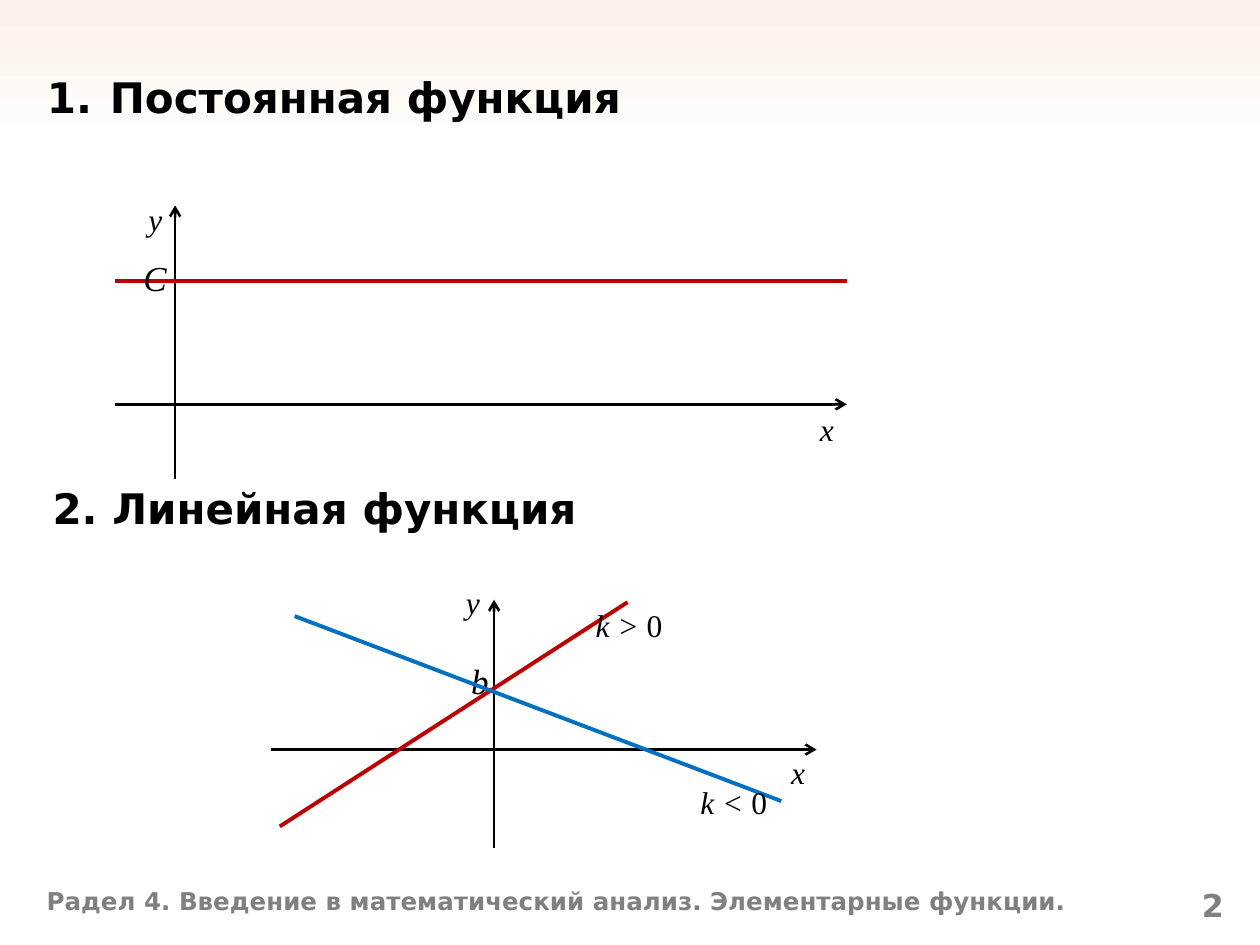
from lxml import etree
from pptx import Presentation
from pptx import util as u
from pptx.dml.color import RGBColor
from pptx.enum import shapes, text
from pptx.oxml import ns

Cm, Pt = u.Cm, u.Pt
COLORS = {
    "top": "FCF1E8",
    "page": "FFFFFF",
    "ink": "000000",
    "muted": "808080",
    "red": "C00000",
    "blue": "0070C0",
}
HEADING = {"name": "DejaVu Sans", "size": Pt(24), "bold": True, "italic": False}
FOOTER = {**HEADING, "size": Pt(14)}
NUMBER = {**HEADING, "size": Pt(18)}
SYMBOL = {"name": "Times New Roman", "size": Pt(18), "bold": False, "italic": True}
POINT = {**SYMBOL, "size": Pt(20)}
DIGIT = {**SYMBOL, "italic": False}


def rgb(name):
    return RGBColor.from_string(COLORS[name])


def add_run(p, words, style, color="ink"):
    r = p.add_run()
    r.text = words
    for key, value in style.items():
        setattr(r.font, key, value)
    r.font.color.rgb = rgb(color)


def set_background(s):
    fill = s.background.fill
    fill.gradient()
    fill.gradient_angle = 270
    for stop, (position, color) in zip(fill.gradient_stops, [(0, "top"), (0.16, "page")]):
        stop.position = position
        stop.color.rgb = rgb(color)


def set_title(s, words):
    sp = s.shapes.title
    sp.left, sp.top, sp.width, sp.height = Cm(0.69), Cm(0.74), Cm(24), Cm(2.41)
    tf = sp.text_frame
    tf.auto_size = text.MSO_AUTO_SIZE.NONE
    tf.vertical_anchor = text.MSO_ANCHOR.MIDDLE
    p = tf.paragraphs[0]
    p.alignment = text.PP_ALIGN.LEFT
    pPr = p._p.get_or_add_pPr()
    pPr.set("marL", str(Cm(1.27)))
    pPr.set("indent", str(-Cm(1.27)))
    etree.SubElement(pPr, ns.qn("a:buFont"), typeface="+mj-lt")
    etree.SubElement(pPr, ns.qn("a:buAutoNum"), type="arabicPeriod")
    add_run(p, words, HEADING)


def add_text(parent, box, runs, color="ink", wrap=True, align=text.PP_ALIGN.LEFT):
    sp = parent.shapes.add_textbox(*map(Cm, box))
    tf = sp.text_frame
    tf.word_wrap = wrap
    p = tf.paragraphs[0]
    p.alignment = align
    for words, style in runs:
        add_run(p, words, style, color)


def add_label(parent, left, top, words, style=SYMBOL, width=0.79, height=1.02):
    add_text(parent, (left, top, width, height), [(words, style)], wrap=False)


def add_slope_label(parent, left, top, sign):
    runs = [(f"k {sign} ", SYMBOL), ("0", DIGIT)]
    add_text(parent, (left, top, 1.88, 1.02), runs, wrap=False)


def add_line(parent, start, end, color="ink", width=2.25):
    line = parent.shapes.add_connector(
        shapes.MSO_CONNECTOR.STRAIGHT, *map(Cm, (*start, *end)))
    line.line.color.rgb = rgb(color)
    line.line.width = Pt(width)
    etree.SubElement(line._element.spPr, ns.qn("a:effectLst"))
    return line


def add_axis(parent, start, end):
    axis = add_line(parent, start, end, width=1.5)
    etree.SubElement(axis.line._get_or_add_ln(), ns.qn("a:tailEnd"), type="arrow")


def add_constant_graph(s):
    left, right = 2.31, 17.07
    group = s.shapes.add_group_shape()
    add_axis(group, (left, 8.15), (right, 8.15))
    add_axis(group, (3.53, 9.65), (3.53, 4.14))
    add_line(group, (left, 5.66), (right, 5.66), "red")
    add_label(group, 16.28, 8.15, "x")
    add_label(group, 2.74, 3.91, "y")
    add_label(group, 2.64, 5.05, "C", POINT, 0.99, 1.12)


def add_linear_graph(s):
    group = s.shapes.add_group_shape()
    add_axis(group, (9.96, 17.09), (9.96, 12.09))
    add_axis(group, (5.46, 15.11), (16.46, 15.11))
    add_label(group, 15.7, 15.06, "x")
    add_label(s, 9.14, 11.63, "y")
    add_line(s, (5.64, 16.66), (12.65, 12.14), "red")
    add_label(s, 9.25, 13.18, "b", POINT, 0.86, 1.12)
    add_line(s, (5.94, 12.42), (15.75, 16.15), "blue")
    add_slope_label(s, 11.76, 12.09, ">")
    add_slope_label(s, 13.87, 15.67, "<")


def main():
    prs = Presentation()
    prs.slide_width, prs.slide_height = Cm(25.4), Cm(19.05)
    s = prs.slides.add_slide(prs.slide_layouts[5])
    set_background(s)
    set_title(s, "Постоянная функция")
    footer = "Радел 4. Введение в математический анализ. Элементарные функции."
    add_text(s, (0.69, 17.73, 21.69, 1.32), [(footer, FOOTER)], "muted")
    add_text(s, (22.43, 17.73, 2.49, 1.32), [("2", NUMBER)], "muted",
             align=text.PP_ALIGN.RIGHT)
    add_constant_graph(s)
    add_text(s, (0.81, 9.6, 11.48, 1.27), [("2. Линейная функция", HEADING)])
    add_linear_graph(s)
    prs.save("out.pptx")


if __name__ == "__main__":
    main()
